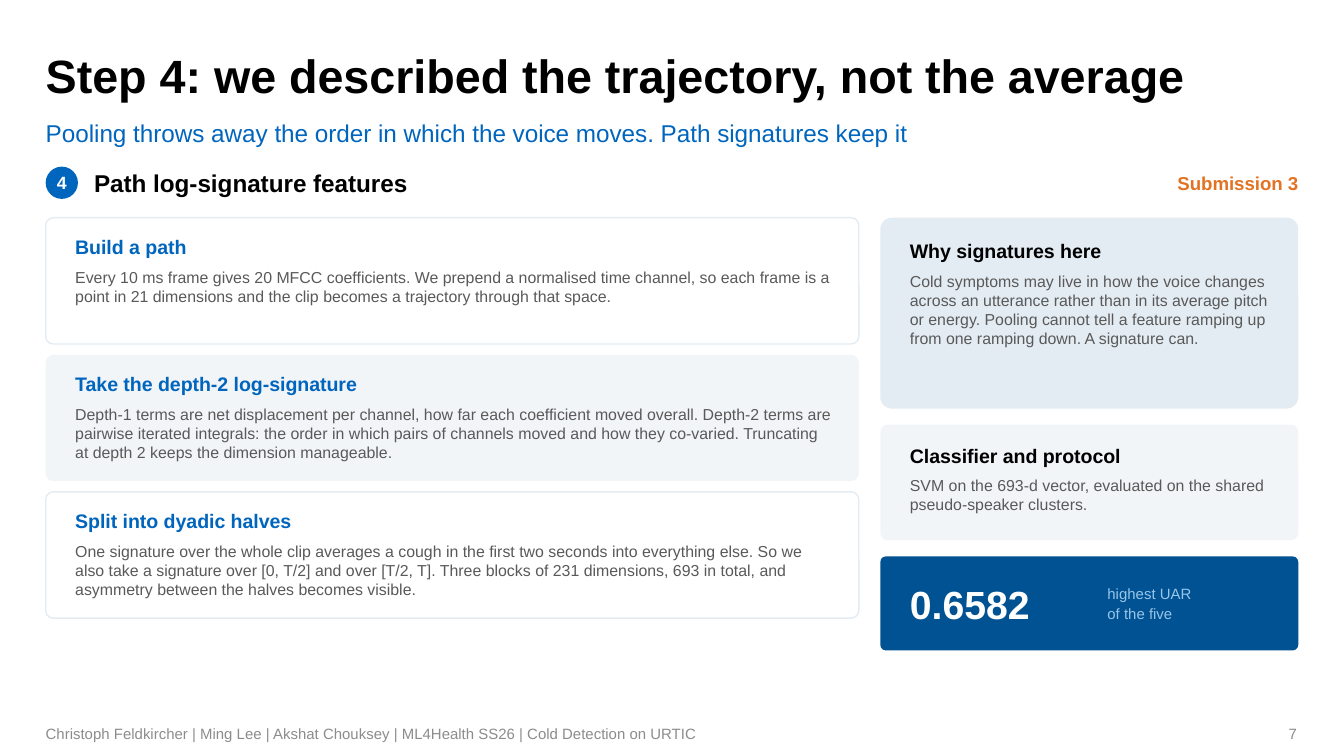
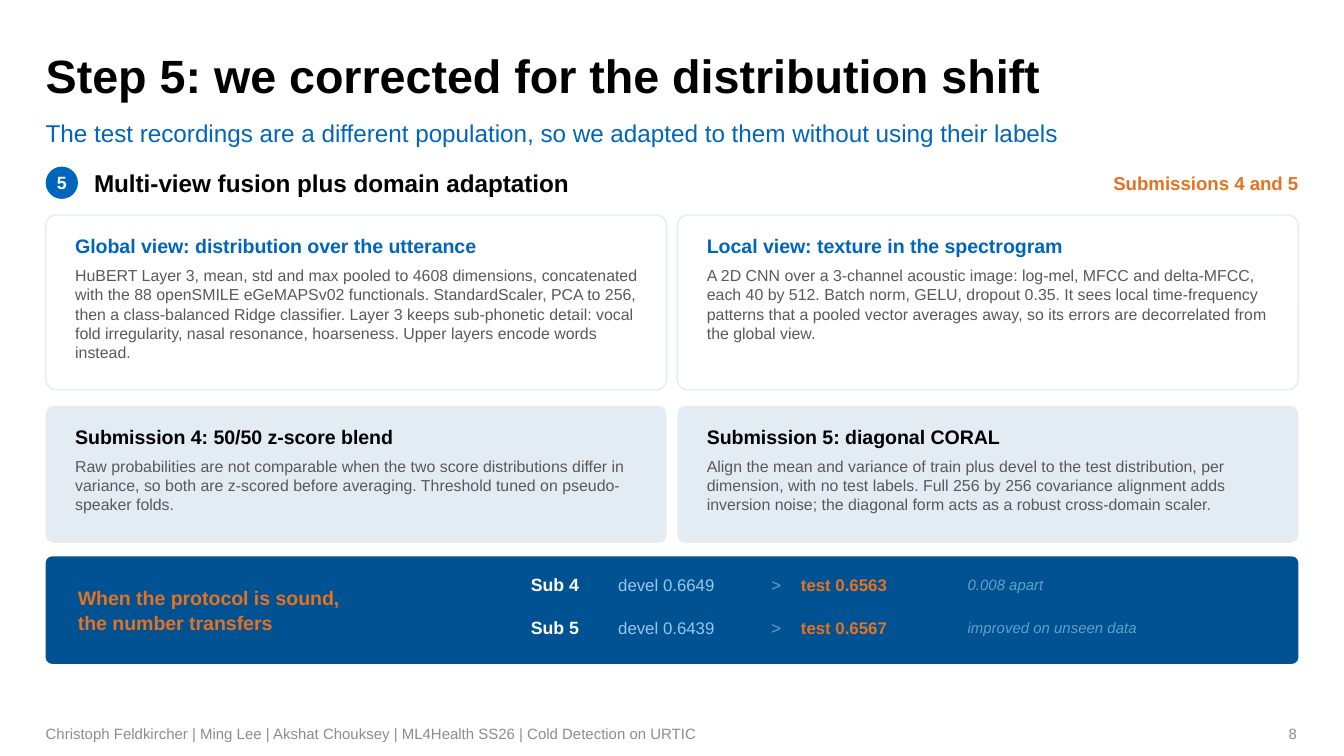
"""Builds two slides on path signatures and domain adaptation for cold detection."""
import pptx
import pptx.util
import pptx.dml.color
import pptx.enum.shapes
import pptx.enum.text

Inches, Pt = pptx.util.Inches, pptx.util.Pt
SHAPE = pptx.enum.shapes.MSO_SHAPE
ALIGN = pptx.enum.text.PP_ALIGN
ANCHOR = pptx.enum.text.MSO_ANCHOR

FONT = "Arial"
COLORS = {
    "black": "000000", "white": "FFFFFF", "blue": "0065BD", "navy": "005293",
    "orange": "E37222", "body": "595959", "footer": "8C8C8C", "mist": "F2F5F8",
    "pale": "E4ECF3", "sky": "98C6EA", "steel": "64A0C8",
}
CARD_STYLES = {
    "outline": ("white", "pale", "blue"),
    "step": ("mist", None, "blue"),
    "note": ("mist", None, "black"),
    "callout": ("pale", None, "black"),
}
SLIDE_W = 10
SLIDE_H = SLIDE_W * 9 / 16
LEFT, RIGHT = 0.34, 9.66
GAP = 0.08
PAD = 0.22
BAND_TOP = 4.14
FOOTER = "Christoph Feldkircher | Ming Lee | Akshat Chouksey | ML4Health SS26 | Cold Detection on URTIC"

TRAJECTORY = {
    "title": "Step 4: we described the trajectory, not the average",
    "subtitle": "Pooling throws away the order in which the voice moves. Path signatures keep it",
    "step": "4",
    "heading": "Path log-signature features",
    "tag": "Submission 3",
    "page": "7",
}
STEPS = [
    ("outline", "Build a path",
     "Every 10 ms frame gives 20 MFCC coefficients. We prepend a normalised time channel, so each "
     "frame is a point in 21 dimensions and the clip becomes a trajectory through that space."),
    ("step", "Take the depth-2 log-signature",
     "Depth-1 terms are net displacement per channel, how far each coefficient moved overall. "
     "Depth-2 terms are pairwise iterated integrals: the order in which pairs of channels moved and "
     "how they co-varied. Truncating at depth 2 keeps the dimension manageable."),
    ("outline", "Split into dyadic halves",
     "One signature over the whole clip averages a cough in the first two seconds into everything "
     "else. So we also take a signature over [0, T/2] and over [T/2, T]. Three blocks of 231 "
     "dimensions, 693 in total, and asymmetry between the halves becomes visible."),
]
WHY = ("callout", "Why signatures here",
       "Cold symptoms may live in how the voice changes across an utterance rather than in its "
       "average pitch or energy. Pooling cannot tell a feature ramping up from one ramping down. "
       "A signature can.")
PROTOCOL = ("note", "Classifier and protocol",
            "SVM on the 693-d vector, evaluated on the shared pseudo-speaker clusters.")
SCORE = "0.6582"
SCORE_NOTE = ["highest UAR", "of the five"]

SHIFT = {
    "title": "Step 5: we corrected for the distribution shift",
    "subtitle": "The test recordings are a different population, so we adapted to them without using their labels",
    "step": "5",
    "heading": "Multi-view fusion plus domain adaptation",
    "tag": "Submissions 4 and 5",
    "page": "8",
}
VIEWS = [
    ("outline", "Global view: distribution over the utterance",
     "HuBERT Layer 3, mean, std and max pooled to 4608 dimensions, concatenated with the 88 "
     "openSMILE eGeMAPSv02 functionals. StandardScaler, PCA to 256, then a class-balanced Ridge "
     "classifier. Layer 3 keeps sub-phonetic detail: vocal fold irregularity, nasal resonance, "
     "hoarseness. Upper layers encode words instead."),
    ("outline", "Local view: texture in the spectrogram",
     "A 2D CNN over a 3-channel acoustic image: log-mel, MFCC and delta-MFCC, each 40 by 512. "
     "Batch norm, GELU, dropout 0.35. It sees local time-frequency patterns that a pooled vector "
     "averages away, so its errors are decorrelated from the global view."),
]
SUBMISSIONS = [
    ("callout", "Submission 4: 50/50 z-score blend",
     "Raw probabilities are not comparable when the two score distributions differ in variance, so "
     "both are z-scored before averaging. Threshold tuned on pseudo-speaker folds."),
    ("callout", "Submission 5: diagonal CORAL",
     "Align the mean and variance of train plus devel to the test distribution, per dimension, with "
     "no test labels. Full 256 by 256 covariance alignment adds inversion noise; the diagonal form "
     "acts as a robust cross-domain scaler."),
]
TAKEAWAY = ["When the protocol is sound,", "the number transfers"]
RESULTS = [
    ("Sub 4", "devel 0.6649", ">", "test 0.6563", "0.008 apart"),
    ("Sub 5", "devel 0.6439", ">", "test 0.6567", "improved on unseen data"),
]
RESULT_COLUMNS = [
    (3.95, 0.6, 9.5, "white", {"bold": True}),
    (4.6, 1.1, 9, "sky", {}),
    (5.74, 0.18, 9, "steel", {}),
    (5.96, 1.1, 9, "orange", {"bold": True}),
    (7.2, 2.2, 8, "steel", {"italic": True}),
]


def rgb(name):
    """Return the named colour."""
    return pptx.dml.color.RGBColor.from_string(COLORS[name])


def write(sp, lines, size, color, bold=False, italic=False, align=ALIGN.LEFT,
          anchor=ANCHOR.TOP, inset_top=0, spacing=None, after=None):
    """Fill a shape with one paragraph per line."""
    tf = sp.text_frame
    tf.word_wrap = True
    tf.vertical_anchor = anchor
    tf.margin_left = tf.margin_right = tf.margin_bottom = 0
    tf.margin_top = Inches(inset_top)
    for i, line in enumerate(lines):
        p = tf.add_paragraph() if i else tf.paragraphs[0]
        p.alignment = align
        if spacing:
            p.line_spacing = Pt(spacing)
        if after:
            p.space_after = Pt(after)
        r = p.add_run()
        r.text = line
        r.font.name = FONT
        r.font.size = Pt(size)
        r.font.bold = bold
        r.font.italic = italic
        r.font.color.rgb = rgb(color)


def add_text(s, x, y, w, h, lines, size, color, **style):
    """Add a text box."""
    sp = s.shapes.add_textbox(Inches(x), Inches(y), Inches(w), Inches(h))
    write(sp, lines, size, color, **style)


def add_box(s, kind, x, y, w, h, fill, line=None):
    """Add a flat filled shape."""
    sp = s.shapes.add_shape(kind, Inches(x), Inches(y), Inches(w), Inches(h))
    sp.shadow.inherit = False
    sp.fill.solid()
    sp.fill.fore_color.rgb = rgb(fill)
    if line:
        sp.line.color.rgb = rgb(line)
        sp.line.width = Pt(0.75)
    else:
        sp.line.fill.background()
    if kind == SHAPE.ROUNDED_RECTANGLE:
        sp.adjustments[0] = 0.06
    return sp


def add_card(s, x, y, w, h, card, pad_top=0.14):
    """Add a rounded card with a heading and body text."""
    style, heading, body = card
    fill, line, color = CARD_STYLES[style]
    add_box(s, SHAPE.ROUNDED_RECTANGLE, x, y, w, h, fill, line)
    text_w = w - 0.39
    body_top = pad_top + 0.24
    add_text(s, x + PAD, y + pad_top, text_w, 0.2, [heading], 10.5, color, bold=True)
    add_text(s, x + PAD, y + body_top, text_w, h - body_top - 0.06, [body], 8.5, "body")


def add_band(s, x, h):
    """Add a navy result band that reaches the right margin."""
    add_box(s, SHAPE.ROUNDED_RECTANGLE, x, BAND_TOP, RIGHT - x, h, "navy")


def add_slide(prs, head):
    """Add a slide with title, subtitle, step line and footer."""
    s = prs.slides.add_slide(prs.slide_layouts[6])
    width = RIGHT - LEFT
    mid = {"anchor": ANCHOR.MIDDLE}
    add_text(s, LEFT, 0.32, width, 0.42, [head["title"]], 25, "black", bold=True, spacing=32)
    add_text(s, LEFT, 0.75, width, 0.35, [head["subtitle"]], 13, "blue", inset_top=0.1, spacing=18)
    add_text(s, LEFT, 5.31, 7.07, 0.3, [FOOTER], 8, "footer", **mid)
    add_text(s, 7.41, 5.31, 2.24, 0.3, [head["page"]], 8, "footer", align=ALIGN.RIGHT, **mid)
    badge = add_box(s, SHAPE.OVAL, LEFT, 1.24, 0.24, 0.24, "blue")
    write(badge, [head["step"]], 9.5, "white", bold=True, align=ALIGN.CENTER, **mid)
    add_text(s, 0.7, 1.24, 5.2, 0.24, [head["heading"]], 13, "black", bold=True, **mid)
    add_text(s, RIGHT - 2.1, 1.24, 2.1, 0.24, [head["tag"]], 10, "orange", bold=True,
             align=ALIGN.RIGHT, **mid)
    return s


def build_trajectory(prs):
    """Build the path signature slide."""
    s = add_slide(prs, TRAJECTORY)
    top, step_h = 1.62, 0.94
    for i, card in enumerate(STEPS):
        add_card(s, LEFT, top + i * (step_h + GAP), 6.05, step_h, card, pad_top=0.13)
    side = 6.55
    add_card(s, side, top, RIGHT - side, 1.42, WHY, pad_top=0.16)
    add_card(s, side, 3.16, RIGHT - side, 0.86, PROTOCOL)
    add_band(s, side, 0.7)
    add_text(s, side + PAD, BAND_TOP, 1.38, 0.7, [SCORE], 21, "white", bold=True,
             anchor=ANCHOR.MIDDLE)
    add_text(s, 8.24, BAND_TOP, 1.2, 0.7, SCORE_NOTE, 8, "sky", anchor=ANCHOR.MIDDLE, after=1)


def build_shift(prs):
    """Build the domain adaptation slide."""
    s = add_slide(prs, SHIFT)
    card_w = (RIGHT - LEFT - GAP) / 2
    for y, h, cards in [(1.6, 1.3, VIEWS), (3.02, 1.02, SUBMISSIONS)]:
        for i, card in enumerate(cards):
            add_card(s, LEFT + i * (card_w + GAP), y, card_w, h, card)
    add_band(s, LEFT, 0.8)
    add_text(s, 0.58, BAND_TOP, 3.3, 0.8, TAKEAWAY, 10.5, "orange", bold=True,
             anchor=ANCHOR.MIDDLE, after=1)
    for i, result in enumerate(RESULTS):
        y = BAND_TOP + GAP + i * 0.32
        for value, (x, w, size, color, style) in zip(result, RESULT_COLUMNS):
            add_text(s, x, y, w, 0.26, [value], size, color, anchor=ANCHOR.MIDDLE, **style)


def main():
    """Build and save the deck."""
    prs = pptx.Presentation()
    prs.slide_width, prs.slide_height = Inches(SLIDE_W), Inches(SLIDE_H)
    build_trajectory(prs)
    build_shift(prs)
    prs.save("out.pptx")


if __name__ == "__main__":
    main()
